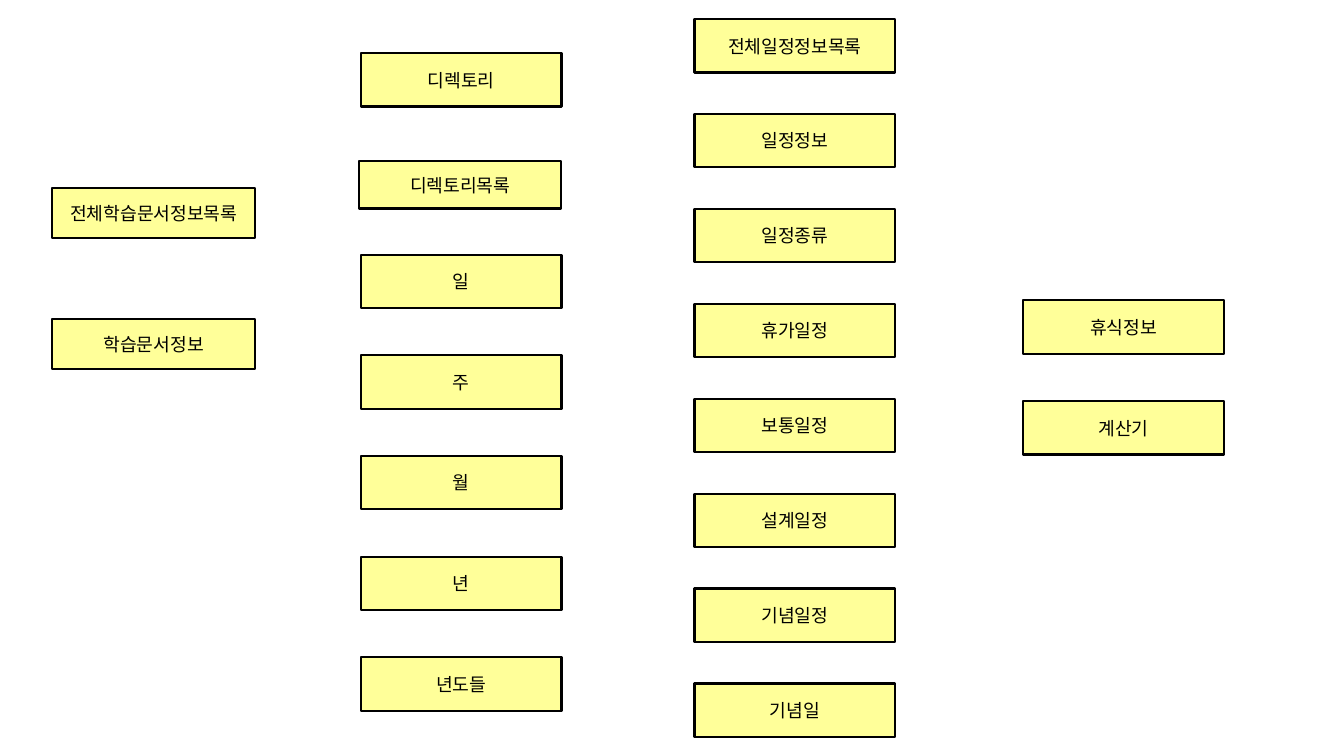
from dataclasses import dataclass

from pptx import Presentation
from pptx.dml.color import RGBColor
from pptx.enum.shapes import MSO_SHAPE
from pptx.enum.text import MSO_ANCHOR, PP_ALIGN
from pptx.util import Pt


@dataclass(frozen=True)
class Theme:
    fill: RGBColor = RGBColor(0xFF, 0xFF, 0x99)
    ink: RGBColor = RGBColor(0, 0, 0)
    font: str = "Arial"
    size: float = 13
    border: float = 1.5


@dataclass(frozen=True)
class Box:
    left: float
    top: float
    width: float = 143.3
    height: float = 38.2


THEME = Theme()


def add_class_box(slide, box, label):
    """One bordered class box with its name centred."""
    class_box = slide.shapes.add_shape(
        MSO_SHAPE.RECTANGLE, Pt(box.left), Pt(box.top), Pt(box.width), Pt(box.height))
    class_box.shadow.inherit = False
    class_box.fill.solid()
    class_box.fill.fore_color.rgb = THEME.fill
    class_box.line.color.rgb = THEME.ink
    class_box.line.width = Pt(THEME.border)

    frame = class_box.text_frame
    frame.word_wrap = True
    frame.vertical_anchor = MSO_ANCHOR.MIDDLE
    paragraph = frame.paragraphs[0]
    paragraph.alignment = PP_ALIGN.CENTER
    name = paragraph.add_run()
    name.text = label
    name.font.name = THEME.font
    name.font.size = Pt(THEME.size)
    name.font.color.rgb = THEME.ink


def add_class_column(slide, first, pitch, labels):
    """A column of equal boxes, starting at the first box."""
    for row, label in enumerate(labels):
        box = Box(first.left, first.top + row * pitch, first.width, first.height)
        add_class_box(slide, box, label)


def build_class_slide(slide):
    # Study documents
    add_class_column(slide, Box(37.4, 134.6, 144.7, 35.6), 93.6,
                     ["전체학습문서정보목록", "학습문서정보"])

    # Directories
    add_class_box(slide, Box(257.8, 37.9), "디렉토리")
    add_class_box(slide, Box(256.3, 115.2, 144.7, 33.8), "디렉토리목록")

    # Calendar periods
    add_class_column(slide, Box(257.8, 181.9), 71.9,
                     ["일", "주", "월", "년", "년도들"])

    # Schedules
    add_class_column(slide, Box(496.1, 13.6), 67.8,
                     ["전체일정정보목록", "일정정보", "일정종류", "휴가일정",
                      "보통일정", "설계일정", "기념일정", "기념일"])

    # Break and calculator
    add_class_column(slide, Box(730.8, 214.6), 71.9, ["휴식정보", "계산기"])


def main():
    deck = Presentation()
    deck.slide_width, deck.slide_height = Pt(960), Pt(540)
    build_class_slide(deck.slides.add_slide(deck.slide_layouts[6]))
    deck.save("out.pptx")


if __name__ == "__main__":
    main()
